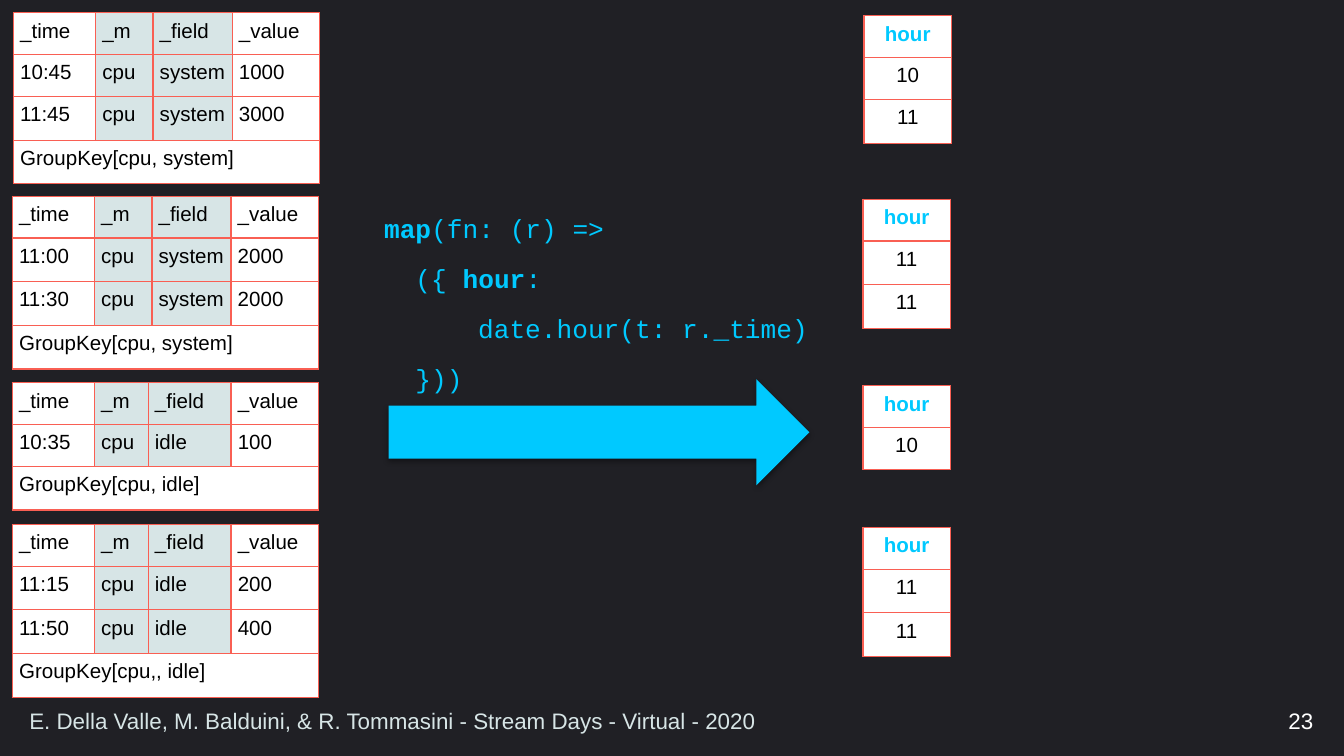
"""Builds the slide that shows a map function turning grouped tables into hour tables."""
import pptx
import pptx.dml.color
import pptx.enum.shapes
import pptx.enum.text
import pptx.oxml
import pptx.util

Pt = pptx.util.Pt
PP_ALIGN = pptx.enum.text.PP_ALIGN
MIDDLE = pptx.enum.text.MSO_ANCHOR.MIDDLE
NS = 'xmlns:a="http://schemas.openxmlformats.org/drawingml/2006/main"'

COLORS = {
    "background": "202025",
    "accent": "00C9FF",
    "border": "F95F53",
    "group": "D7E5E6",
    "white": "FFFFFF",
    "black": "000000",
}
HEADERS = ["_time", "_m", "_field", "_value"]
SYSTEM_WIDTHS = [44, 30.8, 42.4, 47]
IDLE_WIDTHS = [44, 28.8, 44.4, 47]
SHORT, TALL = 22.4, 23.4
CHARACTER = 8.4

GROUPS = [
    {"left": 7.2, "top": 6.9, "widths": SYSTEM_WIDTHS, "heights": [SHORT, SHORT, TALL, TALL],
     "records": [["10:45", "cpu", "system", "1000"], ["11:45", "cpu", "system", "3000"]],
     "key": "GroupKey[cpu, system]"},
    {"left": 6.6, "top": 105.1, "widths": SYSTEM_WIDTHS, "heights": [SHORT, TALL, TALL, TALL],
     "records": [["11:00", "cpu", "system", "2000"], ["11:30", "cpu", "system", "2000"]],
     "key": "GroupKey[cpu, system]"},
    {"left": 6.6, "top": 205.1, "widths": IDLE_WIDTHS, "heights": [SHORT, SHORT, TALL],
     "records": [["10:35", "cpu", "idle", "100"]],
     "key": "GroupKey[cpu, idle]"},
    {"left": 6.6, "top": 280.9, "widths": IDLE_WIDTHS, "heights": [SHORT, TALL, TALL, TALL],
     "records": [["11:15", "cpu", "idle", "200"], ["11:50", "cpu", "idle", "400"]],
     "key": "GroupKey[cpu,, idle]"},
]
CODE_LINES = [
    (0, [("map", True), ("(fn: (r) =>", False)]),
    (2, [("({ ", False), ("hour", True), (":", False)]),
    (6, [("date.hour(t: r._time)", False)]),
    (2, [("}))", False)]),
]


def rgb(name):
    return pptx.dml.color.RGBColor.from_string(COLORS[name])


def style_run(run, size, color, font="Arial", bold=False):
    run.font.size = Pt(size)
    run.font.name = font
    run.font.bold = bold
    run.font.color.rgb = rgb(color)


def add_borders(cell):
    properties = cell._tc.get_or_add_tcPr()
    for position, side in enumerate(("lnL", "lnR", "lnT", "lnB")):
        properties.insert(position, pptx.oxml.parse_xml(
            f'<a:{side} {NS} w="{Pt(0.75)}"><a:solidFill>'
            f'<a:srgbClr val="{COLORS["border"]}"/></a:solidFill></a:{side}>'))


def fill_cell(cell, text, fill="white", color="black", bold=False, align=PP_ALIGN.LEFT):
    cell.margin_left = cell.margin_right = cell.margin_top = cell.margin_bottom = Pt(3.6)
    cell.fill.solid()
    cell.fill.fore_color.rgb = rgb(fill)
    add_borders(cell)
    paragraph = cell.text_frame.paragraphs[0]
    paragraph.text = text
    paragraph.alignment = align
    for run in paragraph.runs:
        style_run(run, 11, color, bold=bold)


def add_grid(slide, left, top, widths, heights):
    grid = slide.shapes.add_table(len(heights), len(widths), Pt(left), Pt(top),
                                  Pt(sum(widths)), Pt(sum(heights))).table
    grid.first_row = grid.horz_banding = False
    for column, width in zip(grid.columns, widths):
        column.width = Pt(width)
    for row, height in zip(grid.rows, heights):
        row.height = Pt(height)
    return grid


def add_group_table(slide, group):
    grid = add_grid(slide, group["left"], group["top"], group["widths"], group["heights"])
    for r, record in enumerate([HEADERS] + group["records"]):
        for c, value in enumerate(record):
            fill_cell(grid.cell(r, c), value, "group" if c in (1, 2) else "white")
    last = len(group["heights"]) - 1
    for c, value in enumerate([group["key"], "", "", ""]):
        fill_cell(grid.cell(last, c), value)
    grid.cell(last, 0).merge(grid.cell(last, 3))


def add_hour_table(slide, group):
    grid = add_grid(slide, group["left"] + 455.7, group["top"] + 1.6, [46.8], group["heights"][:-1])
    fill_cell(grid.cell(0, 0), "hour", color="accent", bold=True, align=PP_ALIGN.CENTER)
    for r, record in enumerate(group["records"], 1):
        hour = record[0].split(":")[0]
        fill_cell(grid.cell(r, 0), hour, align=PP_ALIGN.CENTER)


def add_arrow(slide):
    arrow = slide.shapes.add_shape(pptx.enum.shapes.MSO_SHAPE.RIGHT_ARROW,
                                   Pt(208.2), Pt(203.2), Pt(225.4), Pt(56.8))
    arrow.fill.solid()
    arrow.fill.fore_color.rgb = rgb("accent")
    arrow.line.fill.background()
    arrow.shadow.inherit = False
    effects = arrow._element.spPr.find(pptx.oxml.ns.qn("a:effectLst"))
    effects.append(pptx.oxml.parse_xml(
        f'<a:outerShdw {NS} blurRad="{Pt(3.1)}" dist="{Pt(1.6)}" dir="5400000" rotWithShape="0">'
        f'<a:srgbClr val="{COLORS["black"]}"><a:alpha val="38000"/></a:srgbClr></a:outerShdw>'))


def add_code(slide):
    frame = slide.shapes.add_textbox(Pt(198.7), Pt(100.1), Pt(275.8), Pt(113)).text_frame
    frame.word_wrap = True
    for number, (indent, pieces) in enumerate(CODE_LINES):
        line = frame.add_paragraph() if number else frame.paragraphs[0]
        line.line_spacing = 1.6
        line._p.get_or_add_pPr().set("marL", str(Pt(indent * CHARACTER)))
        for text, bold in pieces:
            run = line.add_run()
            run.text = text
            style_run(run, 14, "accent", "Courier New", bold)


def add_label(slide, text, left, top, width, height, color, align):
    frame = slide.shapes.add_textbox(Pt(left), Pt(top), Pt(width), Pt(height)).text_frame
    frame.word_wrap = True
    frame.vertical_anchor = MIDDLE
    frame.text = text
    frame.paragraphs[0].alignment = align
    style_run(frame.paragraphs[0].runs[0], 12, color)


def main():
    deck = pptx.Presentation()
    deck.slide_width, deck.slide_height = Pt(720), Pt(405)
    slide = deck.slides.add_slide(deck.slide_layouts[6])
    slide.background.fill.solid()
    slide.background.fill.fore_color.rgb = rgb("background")
    add_arrow(slide)
    add_code(slide)
    add_label(slide, "E. Della Valle, M. Balduini, & R. Tommasini - Stream Days - Virtual - 2020",
              8.6, 375.8, 536.4, 20.9, "group", PP_ALIGN.LEFT)
    add_label(slide, "23", 548.6, 375.1, 162, 21.6, "white", PP_ALIGN.RIGHT)
    for group in GROUPS:
        add_group_table(slide, group)
        add_hour_table(slide, group)
    deck.save("out.pptx")


if __name__ == "__main__":
    main()
